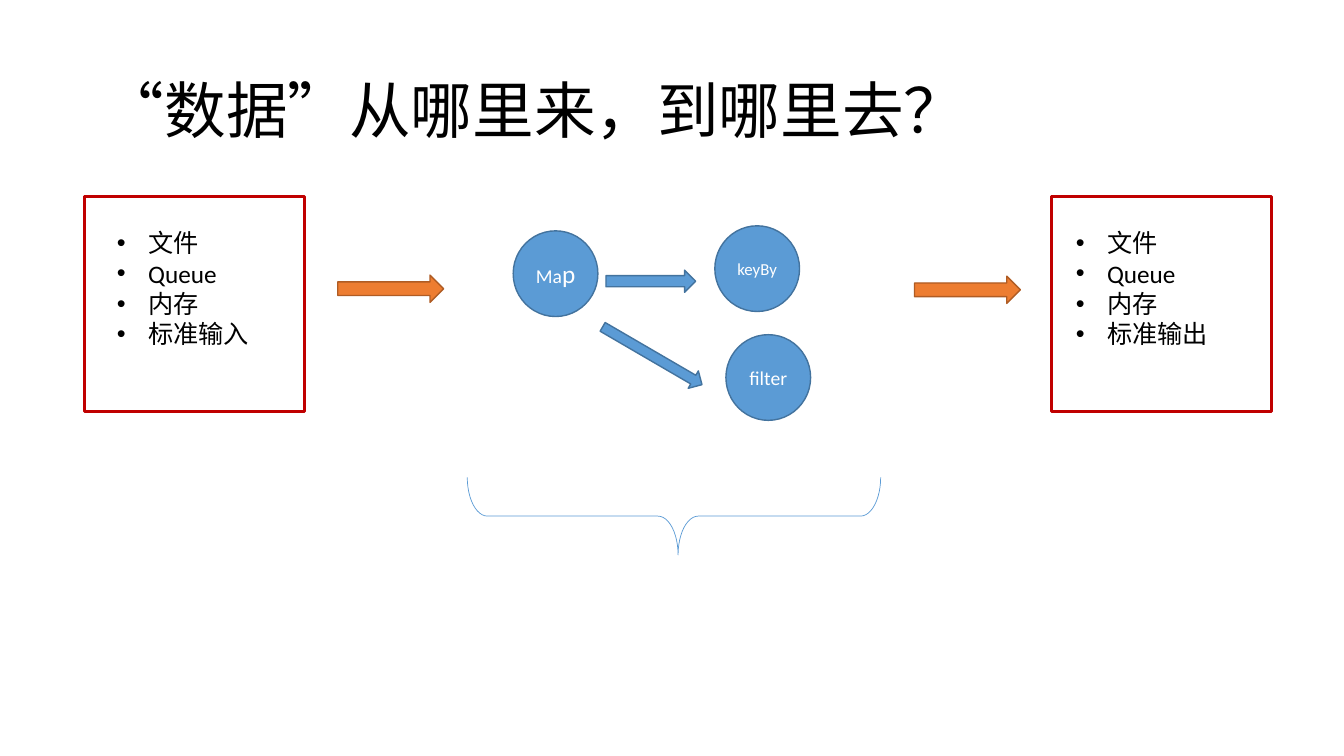
from lxml.etree import SubElement
from pptx import Presentation
from pptx.dml.color import RGBColor
from pptx.enum.lang import MSO_LANGUAGE_ID as Language
from pptx.enum.shapes import MSO_SHAPE as Shape
from pptx.enum.text import MSO_ANCHOR as Anchor, MSO_AUTO_SIZE as AutoSize, PP_ALIGN as Align
from pptx.oxml.ns import qn
from pptx.util import Pt

PX = 9144  # 100 px to the inch
FONT = "Calibri"
BLACK = RGBColor(0x00, 0x00, 0x00)
WHITE = RGBColor(0xFF, 0xFF, 0xFF)
RED = RGBColor(0xC0, 0x00, 0x00)
ORANGE = RGBColor(0xED, 0x7D, 0x31)
DARK_ORANGE = RGBColor(0xAF, 0x5C, 0x24)
BLUE = RGBColor(0x5B, 0x9B, 0xD5)
DARK_BLUE = RGBColor(0x43, 0x73, 0x9E)


def place(item, left, top, width, height):
    item.left, item.top = left * PX, top * PX
    item.width, item.height = width * PX, height * PX


def style_span(span, size, color):
    span.font.name = FONT
    span.font.size = Pt(size)
    span.font.color.rgb = color
    span.font.language_id = Language.SIMPLIFIED_CHINESE


def add_shape(page, kind, box, line, weight=1, fill=None):
    shape = page.shapes.add_shape(kind, *(length * PX for length in box))
    shape.shadow.inherit = False
    if fill is None:
        shape.fill.background()
    else:
        shape.fill.solid()
        shape.fill.fore_color.rgb = fill
    shape.line.color.rgb = line
    shape.line.width = Pt(weight)
    return shape


def add_title(page, box, text):
    title = page.shapes.title
    place(title, *box)
    frame = title.text_frame
    frame.text = text
    frame.auto_size = AutoSize.NONE
    frame.vertical_anchor = Anchor.MIDDLE
    para = frame.paragraphs[0]
    para.alignment = Align.LEFT
    para.line_spacing = 0.9
    style_span(para.runs[0], 44, BLACK)


def add_endpoint(page, body, box, list_left, items):
    """Red frame with a bulleted list of sources or sinks."""
    left, top, _, _ = box
    add_shape(page, Shape.RECTANGLE, box, RED, 2.25)
    place(body, left + list_left, top + 26, 250, 162)
    frame = body.text_frame
    frame.text = "\n".join(items)
    frame.auto_size = AutoSize.NONE
    for para in frame.paragraphs:
        para.space_before = Pt(0)
        para.line_spacing = 1.0
        style_span(para.runs[0], 18, BLACK)
        props = para._p.get_or_add_pPr()
        props.set("marL", str(31 * PX))
        props.set("indent", str(-31 * PX))
        SubElement(props, qn("a:buFont")).set("typeface", "Arial")
        SubElement(props, qn("a:buChar")).set("char", "•")


def add_operator(page, left, top, parts):
    """Blue circle; parts are (text, size) pairs."""
    circle = add_shape(page, Shape.FLOWCHART_CONNECTOR, (left, top, 84, 85), DARK_BLUE, fill=BLUE)
    frame = circle.text_frame
    frame.vertical_anchor = Anchor.MIDDLE
    para = frame.paragraphs[0]
    para.alignment = Align.CENTER
    for text, size in parts:
        span = para.add_run()
        span.text = text
        style_span(span, size, WHITE)


def add_pipeline(page, left, top):
    """Operators, the arrows between them and the brace below."""
    add_operator(page, left + 45, top + 5, [("Ma", 14), ("p", 18)])
    add_operator(page, left + 245, top, [("keyBy", 12)])
    add_operator(page, left + 256, top + 108, [("filter", 14)])

    for x, y, width, height, angle in ((137, 44, 89, 22, 0), (126, 119, 114, 20, 30.2)):
        arrow = add_shape(page, Shape.RIGHT_ARROW, (left + x, top + y, width, height),
                          DARK_BLUE, fill=BLUE)
        arrow.rotation = angle

    brace = add_shape(page, Shape.LEFT_BRACE, (left + 166, top + 83, 77, 410), BLUE, 0.5)
    brace.rotation = 270
    brace.adjustments[0] = 0.26
    brace.adjustments[1] = 0.51


def main():
    deck = Presentation()
    deck.slide_width, deck.slide_height = 1333 * PX, 750 * PX
    page = deck.slides.add_slide(deck.slide_layouts[3])  # title and two lists
    _, source_list, sink_list = page.placeholders

    add_title(page, (92, 40, 1150, 145), "“数据”从哪里来，到哪里去？")

    # Source and sink
    shared = ["文件", "Queue", "内存"]
    add_endpoint(page, source_list, (84, 195, 218, 213), 22, shared + ["标准输入"])
    add_endpoint(page, sink_list, (1043, 195, 218, 213), 14, shared + ["标准输出"])

    # Flow into and out of the pipeline
    for left, top in ((335, 273), (907, 274)):
        add_shape(page, Shape.RIGHT_ARROW, (left, top, 105, 27), DARK_ORANGE, fill=ORANGE)

    add_pipeline(page, 464, 224)
    deck.save("out.pptx")


if __name__ == "__main__":
    main()
